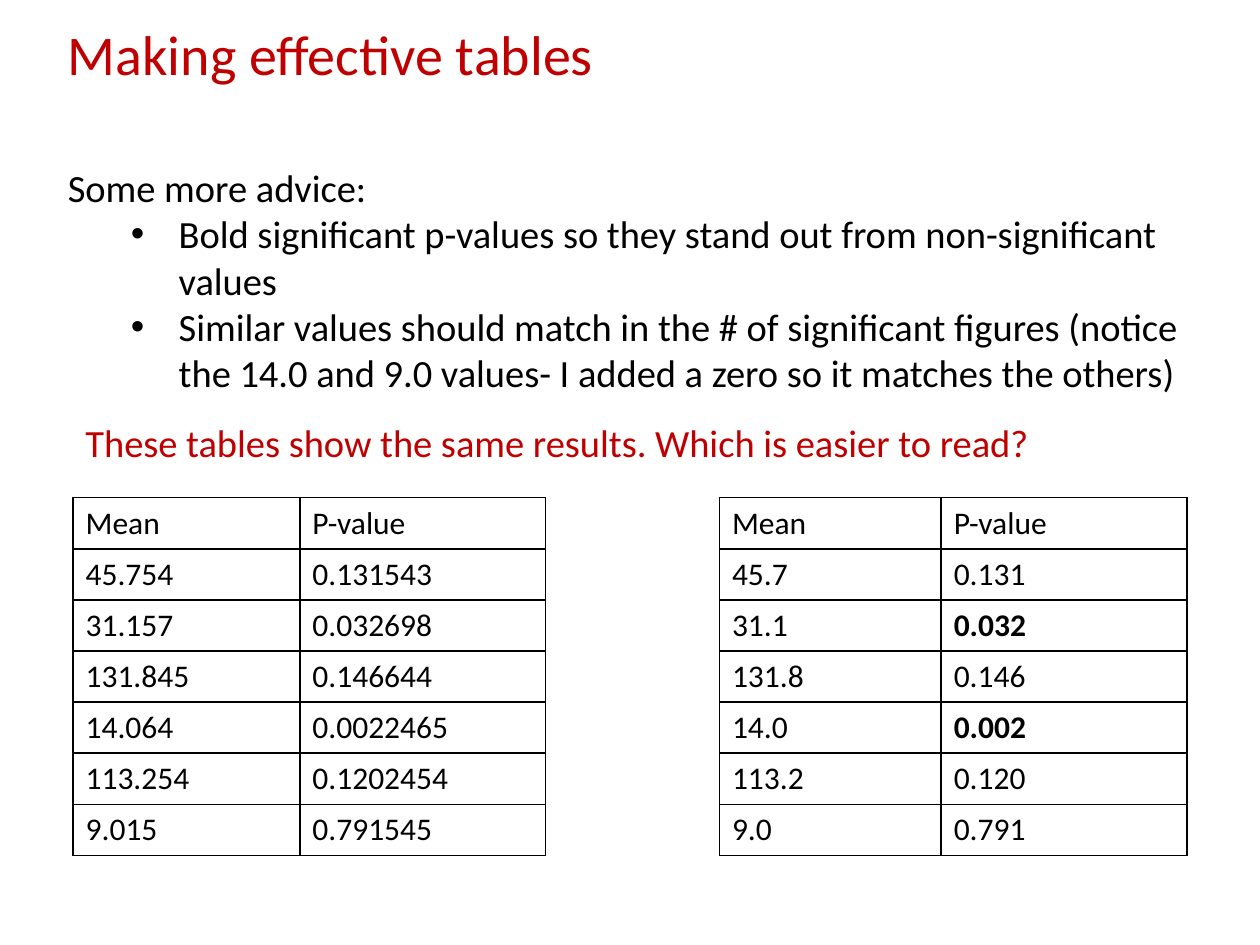
from dataclasses import dataclass

from lxml import etree
from pptx import Presentation
from pptx.dml.color import RGBColor
from pptx.enum.text import MSO_AUTO_SIZE, PP_ALIGN
from pptx.oxml.ns import qn
from pptx.util import Inches, Pt

JUSTIFY = PP_ALIGN.JUSTIFY
LEFT = PP_ALIGN.LEFT
FIT_SHAPE = MSO_AUTO_SIZE.SHAPE_TO_FIT_TEXT

FONT = "Calibri"
RED = "C00000"
BLACK = "000000"
ROW_HEIGHT = 2.84 / 7
TABLE_TOP = 3.95


@dataclass
class Line:
    text: str
    size: float = 22
    color: str = BLACK
    bullet: bool = False
    space_before: float = 0


@dataclass
class ResultTable:
    left: float
    widths: tuple[float, float]
    rows: list[tuple[str, str]]
    mean_align: PP_ALIGN = LEFT
    bold_values: tuple[str, ...] = ()


def style_runs(paragraph, size: float, color: str, bold: bool = False) -> None:
    for run in paragraph.runs:
        run.font.name = FONT
        run.font.size = Pt(size)
        run.font.bold = bold
        run.font.color.rgb = RGBColor.from_string(color)


def add_bullet(paragraph) -> None:
    paragraph.level = 1
    properties = paragraph._p.get_or_add_pPr()
    properties.set("marL", str(Inches(0.88)))
    properties.set("indent", str(Inches(-0.38)))
    etree.SubElement(properties, qn("a:buFont"), typeface="Arial")
    etree.SubElement(properties, qn("a:buChar"), char="•")


def add_text(slide, left: float, top: float, width: float, height: float,
             lines: list[Line]) -> None:
    box = slide.shapes.add_textbox(Inches(left), Inches(top), Inches(width), Inches(height))
    frame = box.text_frame
    frame.word_wrap = True
    frame.auto_size = FIT_SHAPE
    frame.text = "\n".join(line.text for line in lines)
    for paragraph, line in zip(frame.paragraphs, lines):
        if line.bullet:
            add_bullet(paragraph)
        if line.space_before:
            paragraph.space_before = Pt(line.space_before)
        style_runs(paragraph, line.size, line.color)


def add_borders(cell, color: str = BLACK) -> None:
    properties = cell._tc.get_or_add_tcPr()
    for side in ("lnL", "lnR", "lnT", "lnB"):
        border = etree.SubElement(properties, qn(f"a:{side}"), w=str(Pt(1)))
        fill = etree.SubElement(border, qn("a:solidFill"))
        etree.SubElement(fill, qn("a:srgbClr"), val=color)


def add_result_table(slide, spec: ResultTable) -> None:
    rows = [("Mean", "P-value"), *spec.rows]
    table = slide.shapes.add_table(
        len(rows), len(spec.widths), Inches(spec.left), Inches(TABLE_TOP),
        Inches(sum(spec.widths)), Inches(ROW_HEIGHT * len(rows))).table
    table.first_row = False
    table.horz_banding = False
    for column, width in zip(table.columns, spec.widths):
        column.width = Inches(width)
    for r, values in enumerate(rows):
        table.rows[r].height = Inches(ROW_HEIGHT)
        for c, value in enumerate(values):
            cell = table.cell(r, c)
            add_borders(cell)
            cell.fill.background()
            cell.text_frame.text = value
            paragraph = cell.text_frame.paragraphs[0]
            paragraph.alignment = spec.mean_align if r and c == 0 else LEFT
            style_runs(paragraph, 18, BLACK, value in spec.bold_values)


ADVICE = [
    Line("Making effective tables", size=32, color=RED),
    Line("Some more advice:", space_before=44),
    Line("Bold significant p-values so they stand out from non-significant values", bullet=True),
    Line("Similar values should match in the # of significant figures (notice the 14.0 "
         "and 9.0 values- I added a zero so it matches the others)", bullet=True),
]
QUESTION = Line("These tables show the same results. Which is easier to read?", color=RED)

ROUNDED_RESULTS = ResultTable(
    5.71, (1.76, 1.95),
    [("45.7", "0.131"), ("31.1", "0.032"), ("131.8", "0.146"),
     ("14.0", "0.002"), ("113.2", "0.120"), ("9.0", "0.791")],
    mean_align=JUSTIFY, bold_values=("0.032", "0.002"))
RAW_RESULTS = ResultTable(
    0.58, (1.8, 1.95),
    [("45.754", "0.131543"), ("31.157", "0.032698"), ("131.845", "0.146644"),
     ("14.064", "0.0022465"), ("113.254", "0.1202454"), ("9.015", "0.791545")])


def main() -> None:
    deck = Presentation()
    deck.slide_width = Inches(10)
    deck.slide_height = Inches(7.5)
    slide = deck.slides.add_slide(deck.slide_layouts[6])

    # Title and advice
    add_text(slide, 0.44, 0.11, 9.11, 3.84, ADVICE)

    # The same results, rounded and raw
    for results in (ROUNDED_RESULTS, RAW_RESULTS):
        add_result_table(slide, results)

    # Question above the tables
    add_text(slide, 0.58, 3.28, 8.73, 0.47, [QUESTION])

    deck.save("out.pptx")


if __name__ == "__main__":
    main()
